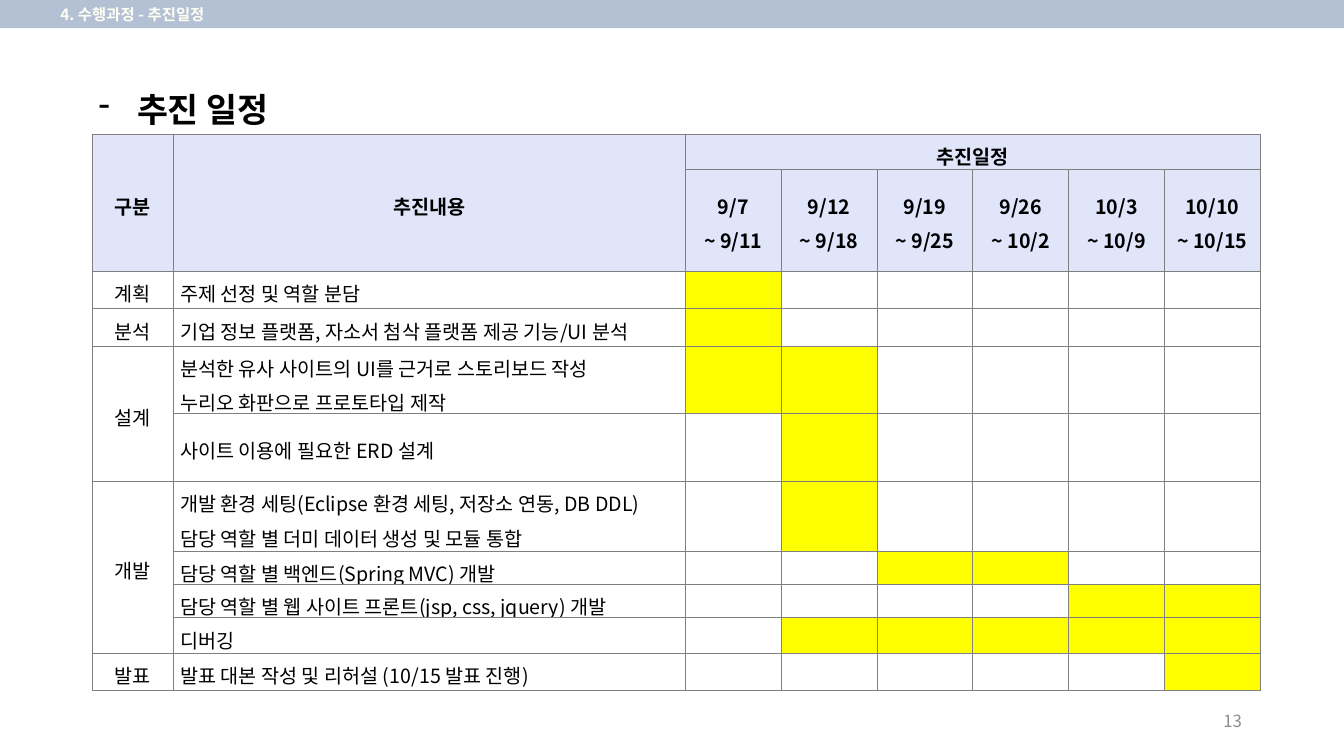
from lxml import etree
from pptx import Presentation
from pptx import util as u
from pptx.dml.color import RGBColor
from pptx.enum import shapes, text
from pptx.oxml.ns import qn

COLORS = {"band": "B4C0D3", "band_text": "FFFFF3", "head": "E0E5FA", "done": "FFFF00",
          "empty": "FFFFFF", "ink": "000000", "rule": "808080", "page": "8C8C8C"}
FONT = "Noto Sans CJK KR"
GRID_COLUMNS, GRID_ROWS = 32, 18
ALIGN, ANCHOR = text.PP_ALIGN, text.MSO_ANCHOR

WEEKS = [("9/7", "9/11"), ("9/12", "9/18"), ("9/19", "9/25"),
         ("9/26", "10/2"), ("10/3", "10/9"), ("10/10", "10/15")]
# Phase, tasks, indexes of the active weeks
TASKS = [
    ("계획", ["주제 선정 및 역할 분담"], [0]),
    ("분석", ["기업 정보 플랫폼, 자소서 첨삭 플랫폼 제공 기능/UI 분석"], [0]),
    ("설계", ["분석한 유사 사이트의 UI를 근거로 스토리보드 작성",
            "누리오 화판으로 프로토타입 제작"], [0, 1]),
    ("설계", ["사이트 이용에 필요한 ERD 설계"], [1]),
    ("개발", ["개발 환경 세팅(Eclipse 환경 세팅, 저장소 연동, DB DDL)",
            "담당 역할 별 더미 데이터 생성 및 모듈 통합"], [1]),
    ("개발", ["담당 역할 별 백엔드(Spring MVC) 개발"], [2, 3]),
    ("개발", ["담당 역할 별 웹 사이트 프론트(jsp, css, jquery) 개발"], [4, 5]),
    ("개발", ["디버깅"], [1, 2, 3, 4, 5]),
    ("발표", ["발표 대본 작성 및 리허설 (10/15 발표 진행)"], [5]),
]
COLUMN_SHARES = [0.8, 5.08] + [0.95] * len(WEEKS)
ROW_SHARES = [0.35, 1.01, 0.37, 0.37, 0.67, 0.67, 0.69, 0.33, 0.33, 0.35, 0.37]


def rgb(color):
    return RGBColor.from_string(COLORS[color])


def paint(target, color):
    target.fill.solid()
    target.fill.fore_color.rgb = rgb(color)


def write(frame, lines, size, color, bold=False, **paragraph_format):
    """Fill a text frame with one paragraph per line."""
    for index, line in enumerate(lines):
        paragraph = frame.add_paragraph() if index else frame.paragraphs[0]
        for name, value in paragraph_format.items():
            setattr(paragraph, name, value)
        run = paragraph.add_run()
        run.text = line
        for name, value in {"size": u.Pt(size), "bold": bold, "name": FONT}.items():
            setattr(run.font, name, value)
        run.font.color.rgb = rgb(color)
        run.font._element.find(qn("a:latin")).addnext(
            etree.Element(qn("a:ea"), typeface=FONT))


def add_page_number(slide, box):
    page = slide.shapes.add_textbox(*box).text_frame
    page.word_wrap = True
    page.vertical_anchor = ANCHOR.MIDDLE
    write(page, ["13"], 12, "page", alignment=ALIGN.RIGHT)


def add_section_band(slide, box):
    band = slide.shapes.add_shape(shapes.MSO_SHAPE.RECTANGLE, *box)
    band.shadow.inherit = False
    paint(band, "band")
    band.line.fill.background()
    section = band.text_frame
    section.vertical_anchor = ANCHOR.MIDDLE
    write(section, ["4. 수행과정 - 추진일정"], 11, "band_text", True, alignment=ALIGN.LEFT)
    section.paragraphs[0]._p.get_or_add_pPr().set("marL", str(u.Inches(0.5)))


def set_title(slide, box):
    title = slide.shapes.title
    title.left, title.top, title.width, title.height = box
    heading = title.text_frame
    heading.word_wrap = True
    heading.vertical_anchor = ANCHOR.TOP
    heading.auto_size = text.MSO_AUTO_SIZE.SHAPE_TO_FIT_TEXT
    write(heading, ["추진 일정"], 24, "ink", True, alignment=ALIGN.LEFT, line_spacing=2.0)
    # Dash bullet with a hanging indent
    properties = heading.paragraphs[0]._p.get_or_add_pPr()
    properties.set("marL", str(u.Inches(0.38)))
    properties.set("indent", str(-u.Inches(0.38)))
    etree.SubElement(properties, qn("a:buChar"), char="-")


def format_cell(cell, color):
    """Set margins, grey borders and fill."""
    margins = {"margin_left": 0.07, "margin_right": 0.07,
               "margin_top": 0.02, "margin_bottom": 0.02}
    for name, value in margins.items():
        setattr(cell, name, u.Inches(value))
    cell.vertical_anchor = ANCHOR.MIDDLE
    for side in ("lnL", "lnR", "lnT", "lnB"):
        border = etree.SubElement(cell._tc.get_or_add_tcPr(), qn(f"a:{side}"),
                                  w=str(u.Pt(0.5)))
        line_fill = etree.SubElement(border, qn("a:solidFill"))
        etree.SubElement(line_fill, qn("a:srgbClr"), val=COLORS["rule"])
    paint(cell, color)


def add_schedule(slide, box):
    left, top, width, height = box
    schedule = slide.shapes.add_table(len(ROW_SHARES), len(COLUMN_SHARES), *box).table
    schedule.first_row = schedule.horz_banding = False
    for column, share in zip(schedule.columns, COLUMN_SHARES):
        column.width = int(width * share / sum(COLUMN_SHARES))
    for row, share in zip(schedule.rows, ROW_SHARES):
        row.height = int(height * share / sum(ROW_SHARES))

    # Fills: header rows, then active weeks
    for row in range(len(ROW_SHARES)):
        for column in range(len(COLUMN_SHARES)):
            active = row > 1 and column - 2 in TASKS[row - 2][2]
            color = "head" if row < 2 else "done" if active else "empty"
            format_cell(schedule.cell(row, column), color)

    def fill_in(row, column, lines, alignment=ALIGN.CENTER):
        write(schedule.cell(row, column).text_frame, lines, 14, "ink", row < 2,
              alignment=alignment, line_spacing=1.2)

    # Header texts
    for column, label in enumerate(["구분", "추진내용", "추진일정"]):
        fill_in(0, column, [label])
    for column, (start, end) in enumerate(WEEKS, 2):
        fill_in(1, column, [start, f"~ {end}"])

    # Task texts, with each phase named once
    phases = [phase for phase, _, _ in TASKS]
    for row, (phase, tasks, _) in enumerate(TASKS, 2):
        fill_in(row, 1, tasks, ALIGN.JUSTIFY)
        first = phases.index(phase) + 2
        if row == first:
            fill_in(row, 0, [phase])
            last = first + phases.count(phase) - 1
            if last > first:
                schedule.cell(first, 0).merge(schedule.cell(last, 0))
        # Keep blank week cells from stretching the row
        for column in range(2, len(COLUMN_SHARES)):
            blank = schedule.cell(row, column).text_frame.paragraphs[0]
            etree.SubElement(blank._p, qn("a:endParaRPr"), sz="1400")

    # Header spans
    for start, end in [((0, 0), (1, 0)), ((0, 1), (1, 1)),
                       ((0, 2), (0, len(COLUMN_SHARES) - 1))]:
        schedule.cell(*start).merge(schedule.cell(*end))


def main():
    deck = Presentation()
    deck.slide_width, deck.slide_height = u.Inches(13.33), u.Inches(7.5)
    slide = deck.slides.add_slide(deck.slide_layouts[5])

    def grid(column, row, columns, rows):
        across = deck.slide_width / GRID_COLUMNS
        down = deck.slide_height / GRID_ROWS
        return (int(column * across), int(row * down),
                int(columns * across), int(rows * down))

    add_page_number(slide, grid(22.61, 16.68, 7.2, 0.96))
    add_section_band(slide, grid(0, 0, GRID_COLUMNS, 0.67))
    add_schedule(slide, grid(2.2, 3.19, 27.81, 13.25))
    set_title(slide, grid(2.11, 1.03, 27.1, 1.87))
    deck.save("out.pptx")


if __name__ == "__main__":
    main()
